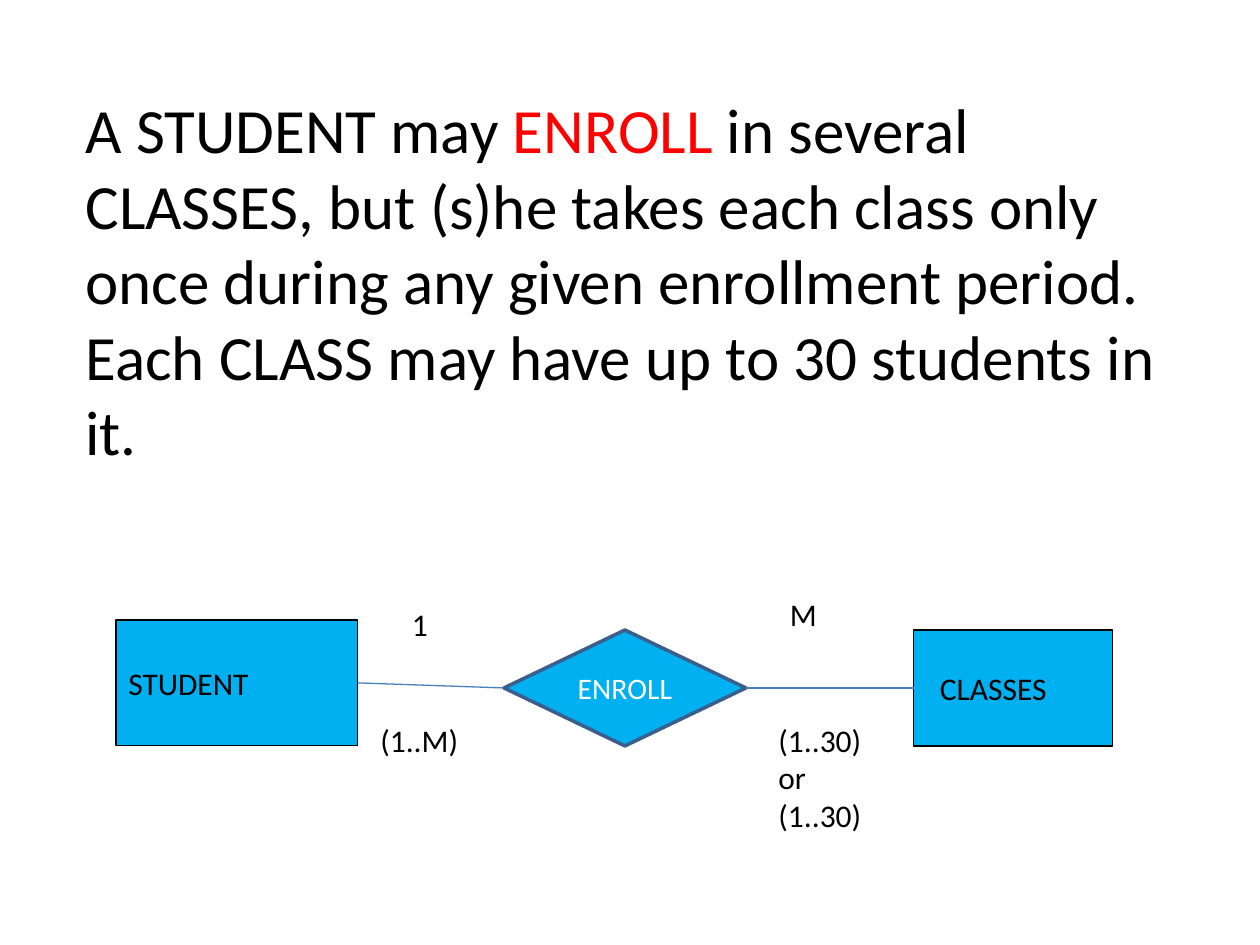
from pptx import Presentation
from pptx.dml.color import RGBColor as RGB
from pptx.enum.shapes import MSO_CONNECTOR as Conn, MSO_SHAPE as Shape
from pptx.enum.text import MSO_ANCHOR as Anchor, PP_ALIGN as Align
from pptx.oxml import parse_xml
from pptx.util import Inches, Pt

THEME = {
    "font": "Calibri", "body": 36, "label": 18, "verb": 17,
    "ink": "000000", "accent": "FF0000", "light": "FFFFFF",
    "fill": "00B0F0", "edge": "3A5F8C", "link": "4B7EBC",
}

# Paragraphs of (text, colour) runs
RULES = [
    [("A STUDENT may ", "ink"), ("ENROLL", "accent"),
     (" in several CLASSES, but (s)he takes each class only once"
      " during any given enrollment period.", "ink")],
    [("Each CLASS may have up to 30 students in it.", "ink")],
]
RULES_BOX = (0.58, 0.67, 9, 3.13)

# text, preset, box, text colour, size, line colour, line width, frame format
NODES = [
    ("STUDENT", Shape.RECTANGLE, (0.92, 4.92, 1.92, 1), "ink", "label",
     "ink", 0.75, {"word_wrap": False}),
    ("ENROLL", Shape.FLOWCHART_DECISION, (4, 5, 1.92, 0.92), "light", "verb",
     "edge", 2, {"word_wrap": True, "margin_left": 0, "margin_right": 0}),
    ("CLASSES", Shape.RECTANGLE, (7.25, 5, 1.58, 0.92), "ink", "label",
     "ink", 0.75, {"word_wrap": False, "margin_left": Inches(0.21)}),
]
LINKS = [("STUDENT", "ENROLL"), ("ENROLL", "CLASSES")]
LABELS = [
    ("1", (3.17, 4.75, 0.67, 0.5)),
    ("M", (6.17, 4.67, 0.67, 0.5)),
    ("(1..M)", (2.92, 5.67, 1.25, 0.4)),
    ("(1..30) or (1..30)", (6.08, 5.67, 1, 1.01)),
]
LEFT, RIGHT = 1, 3
NO_SHADOW = ('<a:effectLst xmlns:a='
             '"http://schemas.openxmlformats.org/drawingml/2006/main"/>')


def tint(name):
    return RGB.from_string(THEME[name])


def write(frame, paras, size, align=Align.LEFT):
    for i, runs in enumerate(paras):
        para = frame.add_paragraph() if i else frame.paragraphs[0]
        para.alignment = align
        for text, color in runs:
            run = para.add_run()
            run.text = text
            look = {"name": THEME["font"], "size": Pt(THEME[size])}
            for key, val in look.items():
                setattr(run.font, key, val)
            run.font.color.rgb = tint(color)


def add_text(slide, paras, box, size):
    frame = slide.shapes.add_textbox(*map(Inches, box)).text_frame
    frame.word_wrap = True
    write(frame, paras, size)


def add_node(slide, text, kind, box, color, size, edge, width, form):
    node = slide.shapes.add_shape(kind, *map(Inches, box))
    node.shadow.inherit = False
    node.fill.solid()
    node.fill.fore_color.rgb = tint("fill")
    node.line.color.rgb = tint(edge)
    node.line.width = Pt(width)
    frame = node.text_frame
    for key, val in {"vertical_anchor": Anchor.MIDDLE, **form}.items():
        setattr(frame, key, val)
    align = Align.LEFT if kind == Shape.RECTANGLE else Align.CENTER
    write(frame, [[(text, color)]], size, align)
    return node


def add_link(slide, start, end):
    link = slide.shapes.add_connector(Conn.STRAIGHT, 0, 0, 0, 0)
    link.begin_connect(start, RIGHT)
    link.end_connect(end, LEFT)
    link.line.color.rgb = tint("link")
    link.line.width = Pt(0.75)
    link._element.spPr.append(parse_xml(NO_SHADOW))


def main():
    deck = Presentation()
    deck.slide_width, deck.slide_height = Inches(10), Inches(7.5)
    slide = deck.slides.add_slide(deck.slide_layouts[6])
    add_text(slide, RULES, RULES_BOX, "body")
    nodes = {row[0]: add_node(slide, *row) for row in NODES}
    for start, end in LINKS:
        add_link(slide, nodes[start], nodes[end])
    for text, box in LABELS:
        add_text(slide, [[(text, "ink")]], box, "label")
    deck.save("out.pptx")


if __name__ == "__main__":
    main()
